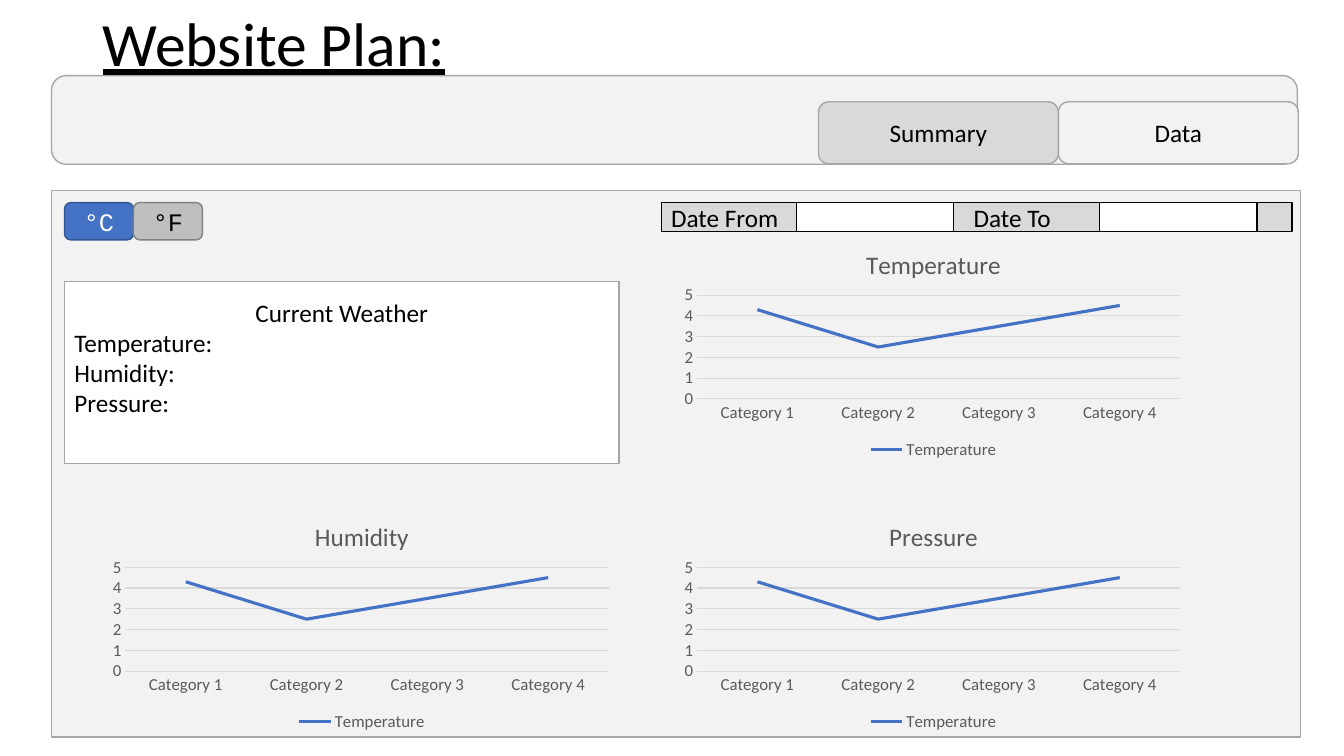
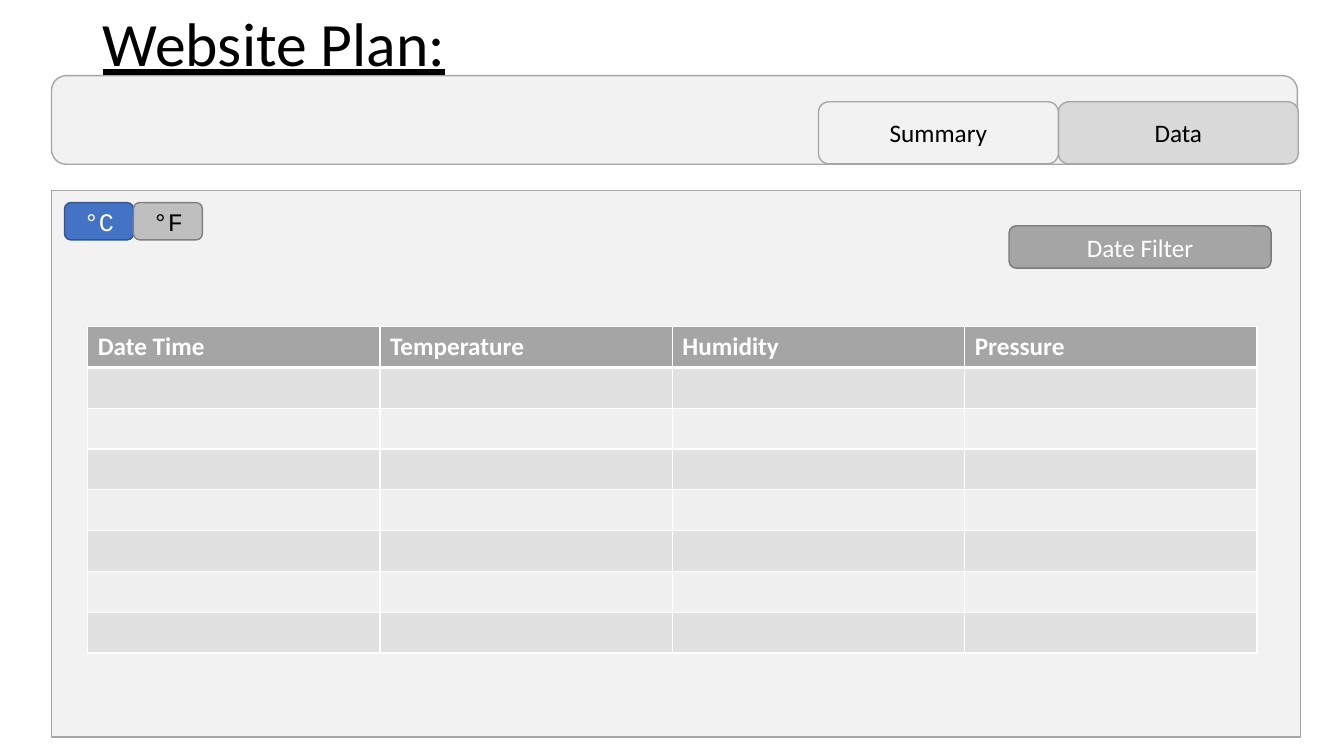
from dataclasses import dataclass

from pptx import Presentation
from pptx import util as u
from pptx.chart import data as chart_data
from pptx.dml.color import RGBColor
from pptx.enum import chart as charts
from pptx.enum import shapes, text
from pptx.oxml import parse_xml
from pptx.oxml.ns import nsdecls


@dataclass(frozen=True)
class Theme:
    font: str = "Calibri"
    unit_font: str = "Courier New"
    black: str = "000000"
    white: str = "FFFFFF"
    panel: str = "F2F2F2"
    active: str = "D9D9D9"
    border: str = "A6A6A6"
    blue: str = "4472C4"
    blue_edge: str = "325491"
    idle: str = "BFBFBF"
    idle_edge: str = "808080"
    header: str = "A5A5A5"
    header_edge: str = "7A7A7A"
    stripes: tuple = ("E1E1E1", "F0F0F0")
    chart_text: str = "595959"
    title_size: int = 44
    body_size: int = 18
    chart_size: int = 12


THEME = Theme()
WIDTH, HEIGHT = u.Inches(13.33), u.Inches(7.5)

# All places are percentages of the slide: left, top, width, height
TITLE = (6.9, 1.07, 86.25, 11.87)
BAND = (3.83, 10, 92.7, 11.73)
PANEL = (3.83, 25.2, 92.93, 72.27)
TAB_LEFT, TAB_TOP, TAB_WIDTH, TAB_HEIGHT = 60.9, 13.47, 17.85, 8.2
UNIT_LEFT, CONTROL_TOP, UNIT_WIDTH, UNIT_HEIGHT = 4.8, 26.8, 5.13, 4.93
WEATHER = (UNIT_LEFT, 37.2, 41.25, 24.13)
DATE_HEIGHT = 3.87
DATE_BAR = (49.2, CONTROL_TOP, 46.95, DATE_HEIGHT)
DATE_FIELDS, DATE_FIELD_WIDTH = (59.25, 81.83), 11.7
FILTER = (75.08, 29.87, 19.5, 5.6)
TABLE = (6.53, 43.2, 87, 43.2)
CHART_COLUMNS, CHART_ROWS, CHART_SIZE = (7.8, 50.33), (30.8, 66.8), (38.25, 30.53)

TABS = ("Summary", "Data")
READINGS = ("Temperature", "Humidity", "Pressure")
TABLE_ROWS = 8
CATEGORIES = [f"Category {number}" for number in range(1, 5)]
VALUES = (4.3, 2.5, 3.5, 4.5)


def place(left, top, width, height):
    return [round(share * side / 100) for share, side in
            zip((left, top, width, height), (WIDTH, HEIGHT) * 2)]


def color(value):
    return RGBColor.from_string(value)


def style_font(font, size, ink, name=THEME.font):
    font.size, font.name = u.Pt(size), name
    font.color.rgb = color(ink)


def write(frame, lines, size, ink, name=THEME.font, align=text.PP_ALIGN.CENTER):
    frame.text = lines
    frame.word_wrap = True
    for para in frame.paragraphs:
        para.alignment = align
        for span in para.runs:
            style_font(span.font, size, ink, name)


# Boxes and buttons
def add_box(page, area, fill, edge, label="", ink=THEME.black, name=THEME.font,
            align=text.PP_ALIGN.CENTER, rounded=False):
    kind = shapes.MSO_SHAPE.ROUNDED_RECTANGLE if rounded else shapes.MSO_SHAPE.RECTANGLE
    box = page.shapes.add_shape(kind, *place(*area))
    box.shadow.inherit = False
    box.fill.solid()
    box.fill.fore_color.rgb = color(fill)
    box.line.color.rgb = color(edge)
    box.line.width = u.Pt(1)
    if label:
        box.text_frame.vertical_anchor = text.MSO_ANCHOR.MIDDLE
        write(box.text_frame, label, THEME.body_size, ink, name, align)
    return box


# Title, navigation band, panel and unit switch shared by both slides
def add_page(deck, active_tab):
    page = deck.slides.add_slide(deck.slide_layouts[6])
    add_box(page, BAND, THEME.panel, THEME.border, rounded=True)
    for index, label in reversed(list(enumerate(TABS))):
        area = (TAB_LEFT + index * TAB_WIDTH, TAB_TOP, TAB_WIDTH, TAB_HEIGHT)
        fill = THEME.active if label == active_tab else THEME.panel
        add_box(page, area, fill, THEME.border, label, rounded=True)
    add_box(page, PANEL, THEME.panel, THEME.border)

    units = (("°C", THEME.blue, THEME.blue_edge, THEME.white),
             ("°F", THEME.idle, THEME.idle_edge, THEME.black))
    for index, (label, fill, edge, ink) in enumerate(units):
        area = (UNIT_LEFT + index * UNIT_WIDTH, CONTROL_TOP, UNIT_WIDTH, UNIT_HEIGHT)
        add_box(page, area, fill, edge, label, ink, THEME.unit_font, rounded=True)

    title = page.shapes.add_textbox(*place(*TITLE)).text_frame
    write(title, "Website Plan:", THEME.title_size, THEME.black,
          align=text.PP_ALIGN.LEFT)
    para = title.paragraphs[0]
    para.line_spacing = 0.9
    para.runs[0].font.underline = True
    return page


def add_weather(page):
    lines = ["Current Weather"] + [f"{reading}:" for reading in READINGS]
    box = add_box(page, WEATHER, THEME.white, THEME.border, "\n".join(lines),
                  align=text.PP_ALIGN.LEFT)
    box.text_frame.paragraphs[0].alignment = text.PP_ALIGN.CENTER
    box.text_frame.margin_bottom = u.Inches(0.35)


def add_date_bar(page):
    bar = add_box(page, DATE_BAR, THEME.active, THEME.black, "Date From\tDate To",
                  align=text.PP_ALIGN.LEFT)
    # A tab stop puts the second label between the two fields
    stops = parse_xml(f'<a:tabLst {nsdecls("a")}>'
                      f'<a:tab pos="{u.Inches(3)}" algn="l"/></a:tabLst>')
    bar.text_frame.paragraphs[0]._p.get_or_add_pPr().append(stops)
    for left in DATE_FIELDS:
        add_box(page, (left, CONTROL_TOP, DATE_FIELD_WIDTH, DATE_HEIGHT),
                THEME.white, THEME.black)


# Line charts
def set_plot_area(chart, **shares):
    plot_area = chart._chartSpace.chart.plotArea
    for layout in plot_area.findall("{*}layout"):
        plot_area.remove(layout)
    sizes = "".join(f'<c:{key} val="{value}"/>' for key, value in shares.items())
    plot_area.insert(0, parse_xml(
        f'<c:layout {nsdecls("c")}><c:manualLayout><c:layoutTarget val="inner"/>'
        f'<c:xMode val="edge"/><c:yMode val="edge"/>{sizes}'
        '</c:manualLayout></c:layout>'))


def add_line_chart(page, heading, column, row):
    data = chart_data.CategoryChartData()
    data.categories = CATEGORIES
    data.add_series("Temperature", VALUES)
    area = (CHART_COLUMNS[column], CHART_ROWS[row], *CHART_SIZE)
    chart = page.shapes.add_chart(charts.XL_CHART_TYPE.LINE, *place(*area), data).chart
    style_font(chart.font, THEME.chart_size, THEME.chart_text)
    write(chart.chart_title.text_frame, heading, THEME.body_size, THEME.chart_text)
    chart.chart_title.text_frame.paragraphs[0].runs[0].font.bold = False

    chart.has_legend = True
    chart.legend.position = charts.XL_LEGEND_POSITION.BOTTOM
    chart.legend.include_in_layout = False
    style_font(chart.legend.font, THEME.chart_size, THEME.chart_text)

    for axis in (chart.category_axis, chart.value_axis):
        axis.major_tick_mark = axis.minor_tick_mark = charts.XL_TICK_MARK.NONE
        style_font(axis.tick_labels.font, THEME.chart_size, THEME.chart_text)
    grid = chart.value_axis.major_gridlines.format.line
    for line in (chart.category_axis.format.line, grid):
        line.color.rgb = color(THEME.active)
        line.width = u.Pt(0.75)
    chart.value_axis.format.line.fill.background()
    chart.value_axis.minimum_scale, chart.value_axis.maximum_scale = 0, 5
    chart.value_axis.major_unit = 1

    chart.plots[0].vary_by_categories = False
    series = chart.plots[0].series[0]
    series.smooth = False
    series.format.line.color.rgb = color(THEME.blue)
    series.format.line.width = u.Pt(2.25)

    set_plot_area(chart, x=0.04, y=0.27, w=0.94, h=0.45)
    chart._chartSpace.chart.addnext(parse_xml(
        f'<c:spPr {nsdecls("c", "a")}><a:noFill/><a:ln><a:noFill/></a:ln></c:spPr>'))


# Data table
def set_borders(cell, **widths):
    for side, width in widths.items():
        cell._tc.get_or_add_tcPr().append(parse_xml(
            f'<a:ln{side} {nsdecls("a")} w="{u.Pt(width)}"><a:solidFill>'
            f'<a:srgbClr val="{THEME.white}"/></a:solidFill></a:ln{side}>'))


def add_data_table(page):
    headings = ("Date Time", *READINGS)
    table = page.shapes.add_table(TABLE_ROWS, len(headings), *place(*TABLE)).table
    for row in range(TABLE_ROWS):
        for column, heading in enumerate(headings):
            cell = table.cell(row, column)
            set_borders(cell, L=1, R=1, T=3 if row == 1 else 1, B=3 if row == 0 else 1)
            cell.fill.solid()
            fill = THEME.stripes[(row - 1) % 2] if row else THEME.header
            cell.fill.fore_color.rgb = color(fill)
            if row == 0:
                write(cell.text_frame, heading, THEME.body_size, THEME.white,
                      align=text.PP_ALIGN.LEFT)
                cell.text_frame.paragraphs[0].runs[0].font.bold = True


def main():
    deck = Presentation()
    deck.slide_width, deck.slide_height = WIDTH, HEIGHT

    # Summary page
    summary = add_page(deck, "Summary")
    add_weather(summary)
    for heading, column, row in zip(READINGS, (1, 0, 1), (0, 1, 1)):
        add_line_chart(summary, heading, column, row)
    add_date_bar(summary)

    # Data page
    records = add_page(deck, "Data")
    add_data_table(records)
    add_box(records, FILTER, THEME.header, THEME.header_edge, "Date Filter",
            THEME.white, rounded=True)

    deck.save("out.pptx")


if __name__ == "__main__":
    main()
